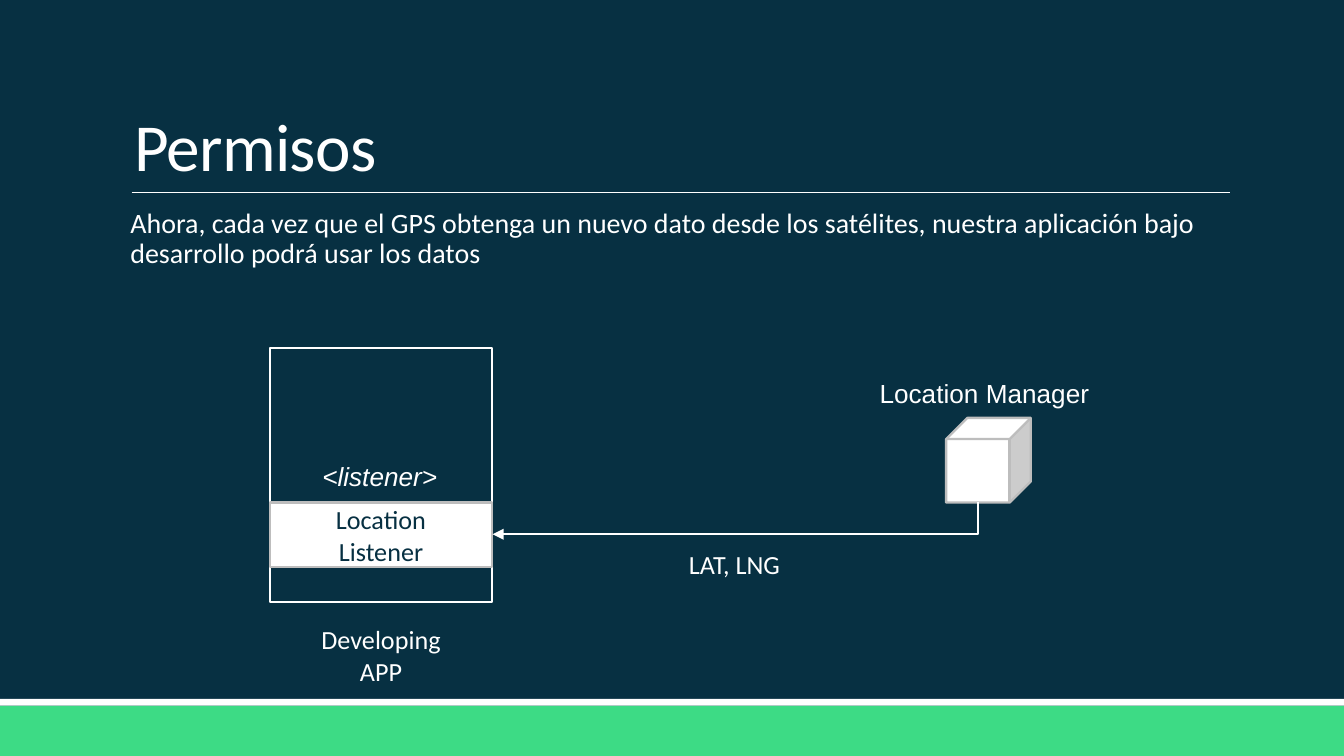
from lxml import etree
from pptx import Presentation
from pptx.dml.color import RGBColor
from pptx.enum.shapes import MSO_CONNECTOR, MSO_SHAPE
from pptx.enum.text import MSO_ANCHOR, PP_ALIGN
from pptx.oxml.ns import qn
from pptx.util import Inches, Pt

RECT, CUBE = MSO_SHAPE.RECTANGLE, MSO_SHAPE.CUBE
STRAIGHT, ELBOW = MSO_CONNECTOR.STRAIGHT, MSO_CONNECTOR.ELBOW
TOP, MIDDLE, BOTTOM = MSO_ANCHOR.TOP, MSO_ANCHOR.MIDDLE, MSO_ANCHOR.BOTTOM
LEFT, CENTER = PP_ALIGN.LEFT, PP_ALIGN.CENTER

NAVY = RGBColor(0x07, 0x30, 0x42)
GREEN = RGBColor(0x3D, 0xDB, 0x85)
WHITE = RGBColor(0xFF, 0xFF, 0xFF)
GRAY = RGBColor(0xBD, 0xBD, 0xBD)

TITLE = "Permisos"
BODY = ("Ahora, cada vez que el GPS obtenga un nuevo dato desde los satélites, "
        "nuestra aplicación bajo desarrollo podrá usar los datos")

SHAPES = [
    (RECT, (0, 5.25, 10, 0.38), GREEN, None),
    (RECT, (0, 5.2, 10, 0.05), WHITE, None),
    (RECT, (2.01, 2.59, 1.65, 1.89), NAVY, WHITE),
    (CUBE, (7.04, 3.11, 0.63, 0.63), WHITE, GRAY),
]
LISTENER = (RECT, (2.01, 3.74, 1.65, 0.48), WHITE, GRAY)
LABELS = [
    ("Developing APP", (2.19, 4.5, 1.29, 0.75), "Calibri", MIDDLE),
    ("LAT, LNG", (4.82, 3.82, 1.29, 0.75), "Calibri", MIDDLE),
    ("Location Manager", (6.35, 2.76, 1.95, 0.34), "Arial", TOP),
]


def add_shape(page, kind, place, fill, line):
    shape = page.shapes.add_shape(kind, *map(Inches, place))
    shape.shadow.inherit = False
    shape.fill.solid()
    shape.fill.fore_color.rgb = fill
    if line is None:
        shape.line.fill.background()
    else:
        shape.line.color.rgb = line
        shape.line.width = Pt(1.25)
    return shape


def write(shape, text, size, font="Calibri", color=WHITE, align=CENTER, anchor=MIDDLE):
    frame = shape.text_frame
    frame.word_wrap = True
    frame.vertical_anchor = anchor
    frame.text = text
    for para in frame.paragraphs:
        para.alignment = align
        for span in para.runs:
            span.font.size = Pt(size)
            span.font.name = font
            span.font.color.rgb = color
    return frame


def add_text(page, place, text, size, **style):
    box = page.shapes.add_textbox(*map(Inches, place))
    return write(box, text, size, **style)


def add_line(page, kind, start, end, width):
    line = page.shapes.add_connector(kind, *map(Inches, start + end))
    line.line.color.rgb = WHITE
    line.line.width = Pt(width)
    etree.SubElement(line._element.spPr, qn("a:effectLst"))
    return line


deck = Presentation()
deck.slide_width = Inches(10)
deck.slide_height = deck.slide_width * 9 // 16
page = deck.slides.add_slide(deck.slide_layouts[6])
page.background.fill.solid()
page.background.fill.fore_color.rgb = NAVY

for kind, place, fill, line in SHAPES:
    add_shape(page, kind, place, fill, line)
listener = add_shape(page, *LISTENER)
write(listener, "Location\nListener", 14, color=NAVY)

add_line(page, STRAIGHT, (0.98, 1.43), (9.15, 1.43), 0.5)
title = add_text(page, (0.9, 0.24, 8.25, 1.19), TITLE, 36, align=LEFT, anchor=BOTTOM)
title.paragraphs[0].line_spacing = 0.85
title.paragraphs[0].runs[0].font._element.set("spc", "-40")

body = add_text(page, (0.9, 1.51, 8.25, 3.3), BODY, 15, align=LEFT, anchor=TOP)
body.margin_left = Inches(0.07)
body.margin_right = 0
body.paragraphs[0].line_spacing = 0.9
body.paragraphs[0].space_before = Pt(9)
body.paragraphs[0].space_after = Pt(1.5)

for text, place, font, anchor in LABELS:
    add_text(page, place, text, 14, font=font, anchor=anchor)
tag = add_text(page, (2.3, 3.38, 1.06, 0.34), "<listener>", 14, font="Arial", align=LEFT, anchor=TOP)
tag.word_wrap = False
tag.paragraphs[0].runs[0].font.italic = True

arrow = add_line(page, ELBOW, (5.35, 2.05), (5.59, 5.66), 1)
properties = arrow._element.spPr
properties.find(qn("a:xfrm")).set("rot", "5400000")
properties.find(qn("a:prstGeom")).set("prst", "bentConnector2")
etree.SubElement(properties.find(qn("a:ln")), qn("a:tailEnd"), type="triangle")

deck.save("out.pptx")
